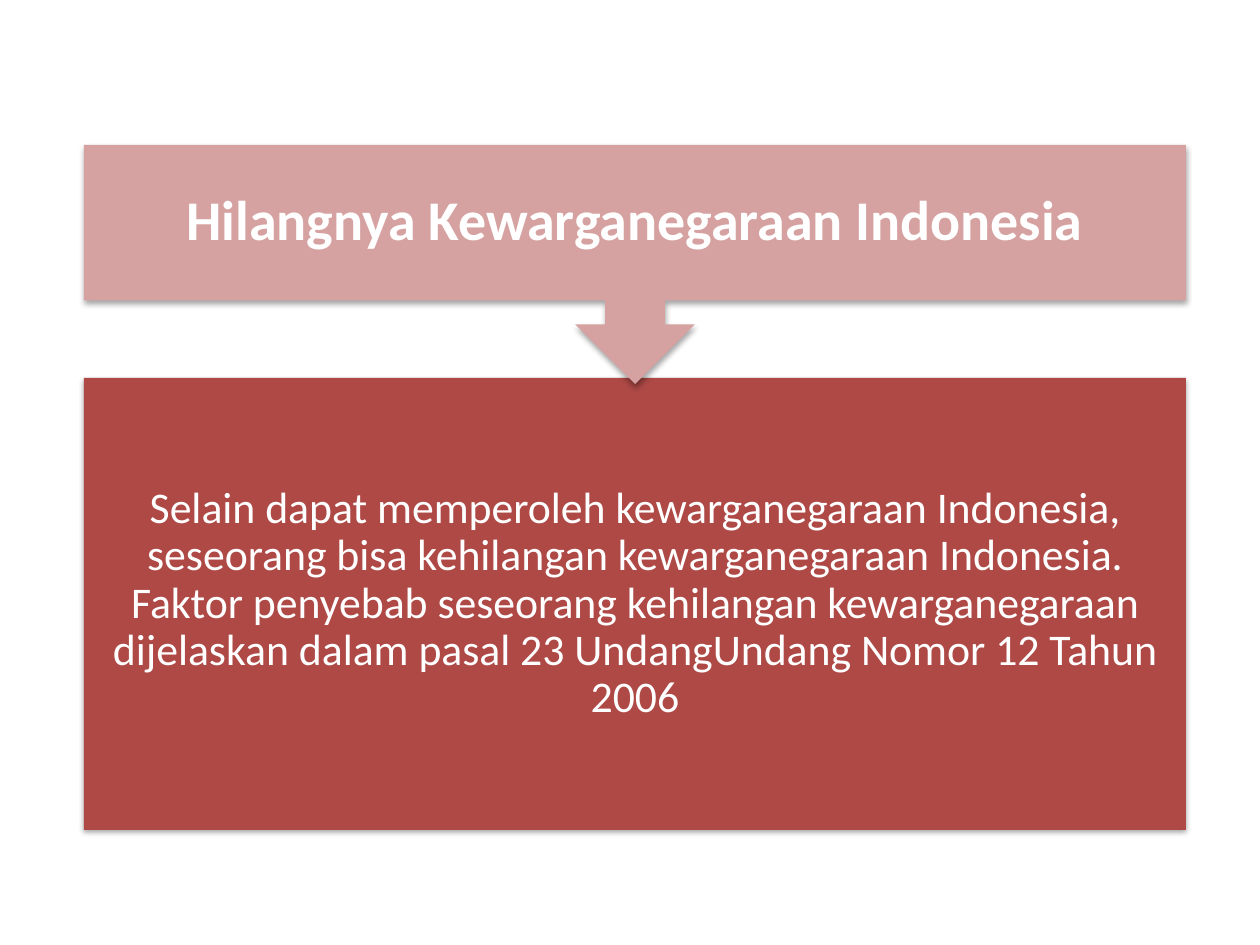
from lxml import etree
from pptx import Presentation, util as u
from pptx.dml.color import RGBColor
from pptx.enum import shapes, text
from pptx.oxml import ns

EMU_PER_PX = 914400 / 126
COLOURS = {"body": "AE4946", "callout": "D6A2A1", "text": "FFFFFF", "shadow": "000000"}
LEFT, WIDTH = 84, 1102


def px(length):
    return u.Emu(round(length * EMU_PER_PX))


class SlideBuilder:
    """Holds the text style and the current slide."""

    font = "Calibri"
    line_spacing = 0.9

    def __init__(self, slide):
        self.slide = slide

    def place(self, item, top, height):
        item.left, item.top, item.width, item.height = map(px, (LEFT, top, WIDTH, height))

    def block(self, preset, top, height, colour):
        shape = self.slide.shapes.add_shape(preset, 0, 0, 0, 0)
        self.place(shape, top, height)
        shape.fill.solid()
        shape.fill.fore_color.rgb = RGBColor.from_string(COLOURS[colour])
        shape.line.fill.background()
        self.add_shadow(shape)
        return shape

    def add_shadow(self, shape):
        """Give the shape a soft shadow that falls straight down."""
        shape.shadow.inherit = False
        effects = shape._element.spPr.find(ns.qn("a:effectLst"))
        shadow = etree.SubElement(effects, ns.qn("a:outerShdw"), blurRad="40000",
                                  dist="23000", dir="5400000", rotWithShape="0")
        colour = etree.SubElement(shadow, ns.qn("a:srgbClr"), val=COLOURS["shadow"])
        etree.SubElement(colour, ns.qn("a:alpha"), val="35000")

    def set_text(self, item, words, size, inset, bold=False):
        frame = item.text_frame
        frame.text = words
        frame.word_wrap = True
        frame.auto_size = text.MSO_AUTO_SIZE.NONE
        frame.vertical_anchor = text.MSO_ANCHOR.MIDDLE
        frame.margin_left = frame.margin_right = px(inset)
        frame.margin_top = frame.margin_bottom = px(inset)
        para = frame.paragraphs[0]
        para.alignment = text.PP_ALIGN.CENTER
        para.line_spacing = self.line_spacing
        font = para.runs[0].font
        font.name, font.size, font.bold = self.font, u.Pt(size), bold
        font.color.rgb = RGBColor.from_string(COLOURS["text"])

    def title(self, words, top, height):
        title = self.slide.shapes.title
        self.place(title, top, height)
        self.set_text(title, words, 32, 32, bold=True)
        # Bring the title in front of the callout
        self.slide.shapes._spTree.append(title._element)


def main():
    deck = Presentation()
    deck.slide_width, deck.slide_height = px(1260), px(945)
    page = SlideBuilder(deck.slides.add_slide(deck.slide_layouts[5]))

    body = page.block(shapes.MSO_SHAPE.RECTANGLE, 378, 452, "body")
    page.set_text(body, "Selain dapat memperoleh kewarganegaraan Indonesia, seseorang bisa "
                  "kehilangan kewarganegaraan Indonesia. Faktor penyebab seseorang kehilangan "
                  "kewarganegaraan dijelaskan dalam pasal 23 UndangUndang Nomor 12 Tahun 2006",
                  25, 24)

    callout = page.block(shapes.MSO_SHAPE.UP_ARROW_CALLOUT, 145, 239, "callout")
    callout.rotation = 180
    page.title("Hilangnya Kewarganegaraan Indonesia", 145, 155)

    deck.save("out.pptx")


if __name__ == "__main__":
    main()
